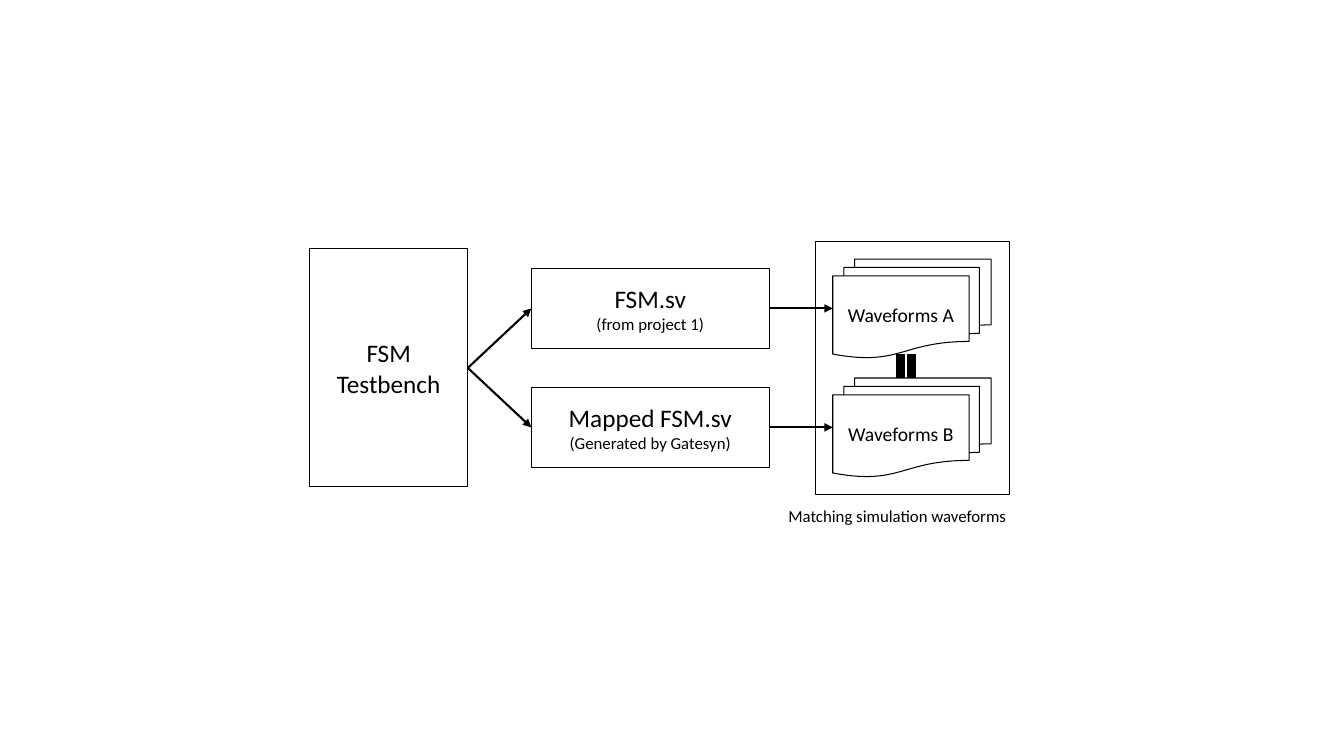
from lxml import etree
from pptx import Presentation
from pptx.dml.color import RGBColor
from pptx.enum.shapes import MSO_CONNECTOR, MSO_SHAPE
from pptx.enum.text import MSO_ANCHOR, MSO_AUTO_SIZE, PP_ALIGN
from pptx.oxml.ns import qn
from pptx.util import Inches, Pt

RECT = MSO_SHAPE.RECTANGLE
DOCUMENTS = MSO_SHAPE.FLOWCHART_MULTIDOCUMENT
EQUAL = MSO_SHAPE.MATH_EQUAL
STRAIGHT = MSO_CONNECTOR.STRAIGHT
CENTER = PP_ALIGN.CENTER
MIDDLE = MSO_ANCHOR.MIDDLE
FIT_TEXT = MSO_AUTO_SIZE.SHAPE_TO_FIT_TEXT

FONT = "Calibri"
BLACK = "000000"

# Columns and rows of the flow
BENCH_LEFT, BENCH_W, BENCH_H = 3.07, 1.57, 2.36
DESIGN_LEFT, DESIGN_W, DESIGN_H = 5.27, 2.36, 0.79
WAVES_LEFT, WAVES_W, WAVES_H = 8.26, 1.57, 0.98
MID_Y = 3.65
BRANCH_OFFSET = 0.59
EQUAL_SIZE = 0.31

BRANCHES = [
    (-BRANCH_OFFSET, "FSM.sv", "(from project 1)", "Waveforms A"),
    (BRANCH_OFFSET, "Mapped FSM.sv", "(Generated by Gatesyn)", "Waveforms B"),
]


def color(hex_code):
    return RGBColor.from_string(hex_code)


def write(frame, lines, align=None):
    """Put (text, size) lines into a text frame, one paragraph each."""
    for index, (text, size) in enumerate(lines):
        paragraph = frame.add_paragraph() if index else frame.paragraphs[0]
        paragraph.text = text
        paragraph.alignment = align
        paragraph.font.name = FONT
        paragraph.font.size = Pt(size)
        paragraph.font.color.rgb = color(BLACK)


def add_box(slide, kind, left, center_y, width, height, lines=(),
            fill=None, line_width=0.75):
    """Add an outlined shape, centred vertically on center_y."""
    box = slide.shapes.add_shape(kind, Inches(left), Inches(center_y - height / 2),
                                 Inches(width), Inches(height))
    box.shadow.inherit = False
    if fill:
        box.fill.solid()
        box.fill.fore_color.rgb = color(fill)
    else:
        box.fill.background()
    box.line.color.rgb = color(BLACK)
    box.line.width = Pt(line_width)
    box.text_frame.vertical_anchor = MIDDLE
    write(box.text_frame, lines, CENTER)
    return box


def add_arrow(slide, x1, y1, x2, y2):
    arrow = slide.shapes.add_connector(STRAIGHT, Inches(x1), Inches(y1),
                                       Inches(x2), Inches(y2))
    arrow.line.color.rgb = color(BLACK)
    arrow.line.width = Pt(1.5)
    etree.SubElement(arrow.line._get_or_add_ln(), qn("a:tailEnd"), type="triangle")
    etree.SubElement(arrow._element.spPr, qn("a:effectLst"))


def add_caption(slide, left, top, width, height, text):
    caption = slide.shapes.add_textbox(Inches(left), Inches(top),
                                       Inches(width), Inches(height))
    caption.text_frame.word_wrap = False
    caption.text_frame.auto_size = FIT_TEXT
    write(caption.text_frame, [(text, 12)])


def main():
    prs = Presentation()
    prs.slide_width, prs.slide_height = Inches(13.33), Inches(7.5)
    slide = prs.slides.add_slide(prs.slide_layouts[6])

    # Frame around the results, and the testbench
    add_box(slide, RECT, 8.09, MID_Y, 1.92, 2.51)
    add_box(slide, RECT, BENCH_LEFT, MID_Y, BENCH_W, BENCH_H, [("FSM Testbench", 18)])

    # Each design under test with its waveforms
    for offset, design, origin, waveforms in BRANCHES:
        y = MID_Y + offset
        add_box(slide, RECT, DESIGN_LEFT, y, DESIGN_W, DESIGN_H,
                [(design, 18), (origin, 12)])
        add_box(slide, DOCUMENTS, WAVES_LEFT, y, WAVES_W, WAVES_H, [(waveforms, 14)])
        add_arrow(slide, BENCH_LEFT + BENCH_W, MID_Y, DESIGN_LEFT, y)
        add_arrow(slide, DESIGN_LEFT + DESIGN_W, y, WAVES_LEFT, y)

    # Equality of the waveforms
    add_caption(slide, 7.72, 4.97, 2.65, 0.3, "Matching simulation waveforms")
    equal_sign = add_box(slide, EQUAL, 8.83, 3.63, EQUAL_SIZE, EQUAL_SIZE,
                         fill=BLACK, line_width=1)
    equal_sign.rotation = 90

    prs.save("out.pptx")


main()
